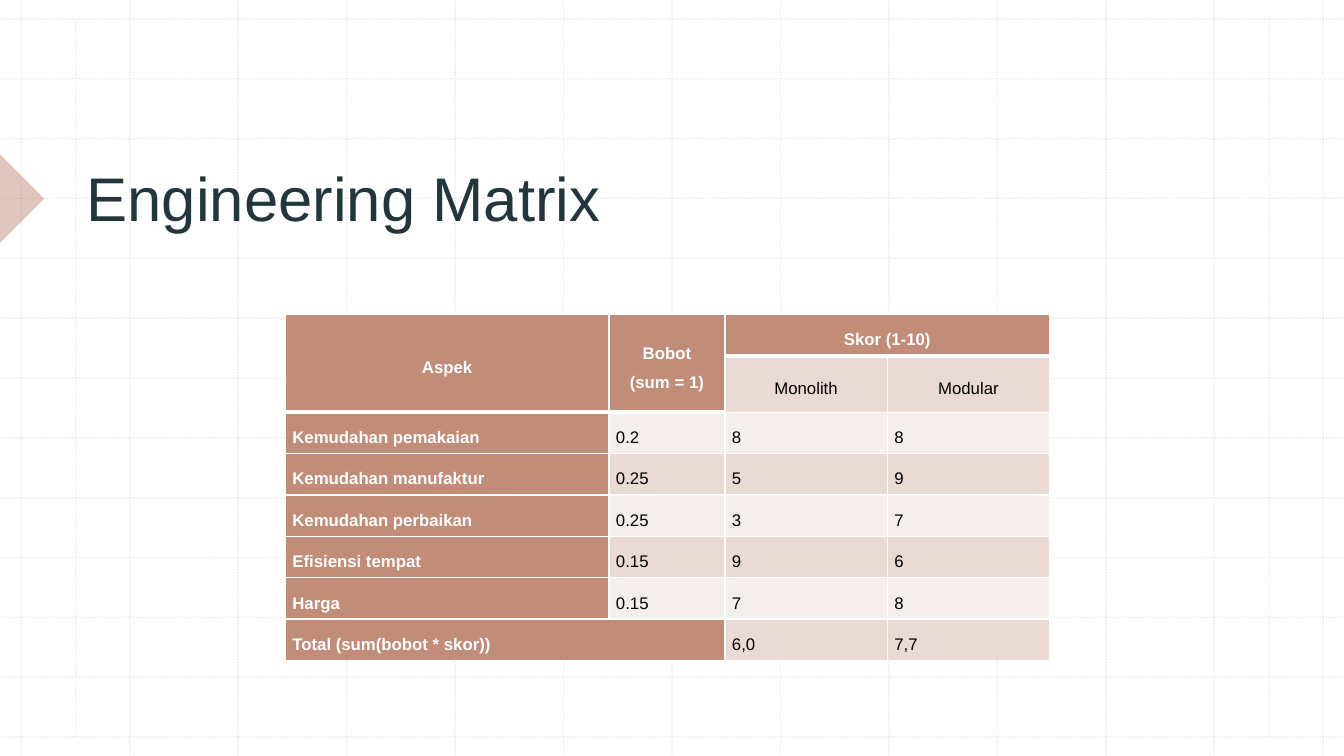
import lxml.etree
import pptx
import pptx.dml.color
import pptx.enum.dml
import pptx.enum.shapes
import pptx.enum.text
import pptx.oxml.ns
import pptx.util

WIDTH, HEIGHT = pptx.util.Inches(13.33), pptx.util.Inches(7.5)
FONT = "Arial"

WHITE = pptx.dml.color.RGBColor(0xFF, 0xFF, 0xFF)
BLACK = pptx.dml.color.RGBColor(0x00, 0x00, 0x00)
GRID_GREY = pptx.dml.color.RGBColor(0xBC, 0xBC, 0xBC)
TITLE_SLATE = pptx.dml.color.RGBColor(0x22, 0x36, 0x3C)
TERRACOTTA = pptx.dml.color.RGBColor(0xC1, 0x8C, 0x78)
BAND_DARK = pptx.dml.color.RGBColor(0xE9, 0xDA, 0xD6)
BAND_LIGHT = pptx.dml.color.RGBColor(0xF4, 0xEE, 0xEC)

# Background grid: margins in percent of the slide, equal gaps between
GRID_GAPS = 12
GRID_LEFT, GRID_RIGHT = 1.58, 98.42
GRID_TOP, GRID_BOTTOM = 2.5, 97.5
FRAME_SIDES = (5.63, 94.45)

# Table columns and rows in percent of the slide
TABLE_LEFT, TABLE_TOP = 21.23, 41.6
COLUMN_WIDTHS = (24.08, 8.63, 12.08, 12.08)
ROW_HEIGHTS = (5.47, 6.13) + (5.47,) * 6
HEADER_ROWS, LABEL_COLUMNS = 2, 2
MATRIX = (
    ("Aspek", "Bobot\n(sum = 1)", "Skor (1-10)", ""),
    ("", "", "Monolith", "Modular"),
    ("Kemudahan pemakaian", "0.2", "8", "8"),
    ("Kemudahan manufaktur", "0.25", "5", "9"),
    ("Kemudahan perbaikan", "0.25", "3", "7"),
    ("Efisiensi tempat", "0.15", "9", "6"),
    ("Harga", "0.15", "7", "8"),
    ("Total (sum(bobot * skor))", "", "6,0", "7,7"),
)
MERGES = (((0, 0), (1, 0)), ((0, 1), (1, 1)), ((0, 2), (0, 3)), ((7, 0), (7, 1)))


def across(percent):
    return round(WIDTH * percent / 100)


def down(percent):
    return round(HEIGHT * percent / 100)


def apply_format(target, values):
    for name, value in values.items():
        setattr(target, name, value)


def style_font(font, color, size, bold=False):
    apply_format(font, {"name": FONT, "size": pptx.util.Pt(size), "bold": bold})
    font.color.rgb = color


def add_child(parent, tag, **attributes):
    return lxml.etree.SubElement(parent, pptx.oxml.ns.qn(tag), attributes)


def set_opacity(element, percent):
    color = next(element.iter(pptx.oxml.ns.qn("a:srgbClr")))
    add_child(color, "a:alpha", val=str(percent * 1000))


def add_grid_line(slide, left, top, right, bottom):
    connector = slide.shapes.add_connector(
        pptx.enum.shapes.MSO_CONNECTOR.STRAIGHT,
        across(left), down(top), across(right), down(bottom))
    connector.line.color.rgb = GRID_GREY
    apply_format(connector.line, {
        "width": pptx.util.Pt(1),
        "dash_style": pptx.enum.dml.MSO_LINE.ROUND_DOT,
    })
    properties = connector.element.spPr
    set_opacity(properties, 30)
    add_child(properties, "a:effectLst")


def add_background_grid(slide):
    for step in range(GRID_GAPS + 1):
        x = GRID_LEFT + step * (GRID_RIGHT - GRID_LEFT) / GRID_GAPS
        y = GRID_TOP + step * (GRID_BOTTOM - GRID_TOP) / GRID_GAPS
        add_grid_line(slide, x, 0, x, 100)
        add_grid_line(slide, 0, y, 100, y)
    for x in FRAME_SIDES:
        add_grid_line(slide, x, GRID_TOP, x, GRID_BOTTOM)


def add_edge_marker(slide):
    side = down(8.27)
    marker = slide.shapes.add_shape(
        pptx.enum.shapes.MSO_SHAPE.RIGHT_TRIANGLE,
        -side // 2, down(22.13), side, side)
    marker.rotation = 225
    marker.shadow.inherit = False
    marker.fill.solid()
    marker.fill.fore_color.rgb = TERRACOTTA
    set_opacity(marker.element.spPr, 50)
    marker.line.fill.background()


def place_title(slide, text):
    title = slide.shapes.title
    apply_format(title, {
        "left": across(5.7), "top": down(10.53),
        "width": across(84.7), "height": down(21.07),
    })
    frame = title.text_frame
    apply_format(frame, {
        "text": text, "word_wrap": True,
        "vertical_anchor": pptx.enum.text.MSO_ANCHOR.BOTTOM,
    })
    paragraph = frame.paragraphs[0]
    paragraph.alignment = pptx.enum.text.PP_ALIGN.LEFT
    style_font(paragraph.runs[0].font, TITLE_SLATE, 44)
    # Bring the title in front of the grid
    title.element.getparent().append(title.element)


def set_borders(cell, top, bottom):
    properties = cell._tc.get_or_add_tcPr()
    widths = {"a:lnL": 1, "a:lnR": 1, "a:lnT": top, "a:lnB": bottom}
    for index, (tag, points) in enumerate(widths.items()):
        line = lxml.etree.Element(pptx.oxml.ns.qn(tag), w=str(pptx.util.Pt(points)))
        add_child(add_child(line, "a:solidFill"), "a:srgbClr", val=str(WHITE))
        properties.insert(index, line)


def bottom_width(row, column):
    """Headings end in a thick rule, all other cells in a thin one."""
    is_heading_end = row == 0 or (row == 1 and column < LABEL_COLUMNS)
    return 3 if is_heading_end else 1


def fill_cell(cell, text, row, column):
    is_strong = row == 0 or column == 0 or (column == 1 and row in (1, len(MATRIX) - 1))
    band = BAND_DARK if row % 2 else BAND_LIGHT
    inset = pptx.util.Inches(0.07)
    apply_format(cell, {
        "text": text,
        "vertical_anchor": pptx.enum.text.MSO_ANCHOR.MIDDLE,
        "margin_left": inset, "margin_right": inset,
        "margin_top": 0, "margin_bottom": 0,
    })
    cell.fill.solid()
    cell.fill.fore_color.rgb = TERRACOTTA if is_strong else band
    top = bottom_width(row - 1, column) if row else 1
    set_borders(cell, top, bottom_width(row, column))
    align = pptx.enum.text.PP_ALIGN
    for paragraph in cell.text_frame.paragraphs:
        apply_format(paragraph, {
            "alignment": align.CENTER if row < HEADER_ROWS else align.LEFT,
            "line_spacing": 1.5,
        })
        style_font(paragraph.font, WHITE if is_strong else BLACK, 12, is_strong)
        for run in paragraph.runs:
            style_font(run.font, WHITE if is_strong else BLACK, 12, is_strong)


def add_matrix(slide):
    table = slide.shapes.add_table(
        len(MATRIX), len(COLUMN_WIDTHS), across(TABLE_LEFT), down(TABLE_TOP),
        across(sum(COLUMN_WIDTHS)), down(sum(ROW_HEIGHTS))).table
    for column, width in zip(table.columns, COLUMN_WIDTHS):
        column.width = across(width)
    for row, height in zip(table.rows, ROW_HEIGHTS):
        row.height = down(height)
    for row, texts in enumerate(MATRIX):
        for column, text in enumerate(texts):
            fill_cell(table.cell(row, column), text, row, column)
    for first, last in MERGES:
        table.cell(*first).merge(table.cell(*last))


def main():
    presentation = pptx.Presentation()
    apply_format(presentation, {"slide_width": WIDTH, "slide_height": HEIGHT})
    slide = presentation.slides.add_slide(presentation.slide_layouts[5])
    slide.background.fill.solid()
    slide.background.fill.fore_color.rgb = WHITE

    # Backdrop
    add_background_grid(slide)
    add_edge_marker(slide)

    # Content
    place_title(slide, "Engineering Matrix")
    add_matrix(slide)

    presentation.save("out.pptx")


if __name__ == "__main__":
    main()
